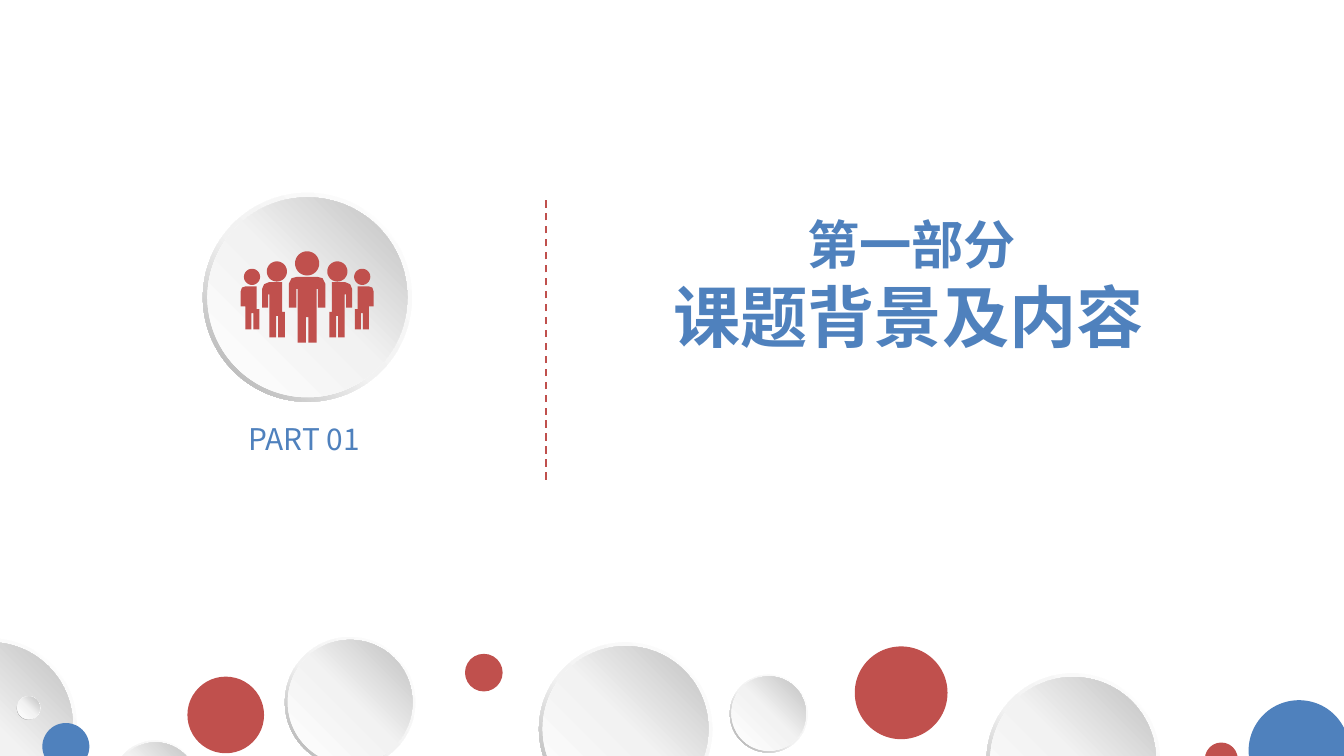
"""Build the opening page of part one, with a people badge and a row of discs."""
from dataclasses import dataclass
from math import cos, pi, sin

from lxml.etree import SubElement
from pptx import Presentation
from pptx.dml.color import RGBColor
from pptx.enum.dml import MSO_LINE
from pptx.enum.shapes import MSO_CONNECTOR, MSO_SHAPE
from pptx.enum.text import MSO_ANCHOR, MSO_AUTO_SIZE, PP_ALIGN
from pptx.oxml.ns import qn
from pptx.util import Pt

PX = 4572
FONT = "Noto Sans CJK SC"
COLOURS = {"blue": "4F81BD", "red": "C0504D", "white": "FFFFFF",
           "pale": "F2F2F2", "silver": "BFBFBF", "grey": "A6A6A6"}
RIM_STOPS = ((0, "white"), (55, "pale"), (100, "grey"))
FACE_STOPS = ((0, "white"), (51, "pale"), (100, "silver"))
AXIS = 457


@dataclass(frozen=True)
class Disc:
    left: int
    top: int
    size: int
    colour: str = ""


@dataclass(frozen=True)
class Head:
    x: int
    y: int
    radius: int


BADGE = Disc(302, 287, 311)
DISCS = (
    Disc(802, 956, 258), Disc(1272, 962, 138, "red"), Disc(424, 948, 194),
    Disc(1858, 1042, 150, "blue"), Disc(167, 1102, 129), Disc(692, 973, 56, "red"),
    Disc(1086, 1004, 116), Disc(1468, 1002, 258), Disc(1793, 1105, 49, "red"),
    Disc(-144, 950, 258), Disc(279, 1007, 114, "red"), Disc(63, 1076, 70, "blue"),
    Disc(25, 1036, 35),
)
CENTRE_HEAD = Head(457, 392, 18)
SIDE_HEADS = (Head(375, 412, 12), Head(412, 404, 15))
CENTRE_HALF = [(455, 472), (455, 510), (443, 510), (443, 430), (441, 430),
               (441, 458), (430, 458), (430, 422), (434, 414), (442, 412)]
SIDE_BODIES = (
    [(386, 460), (386, 490), (377, 490), (377, 466), (374, 466), (374, 490), (365, 490),
     (365, 456), (358, 456), (358, 434), (360, 428), (366, 426), (382, 426), (382, 460)],
    [(424, 464), (424, 502), (414, 502), (414, 470), (411, 470), (411, 502), (401, 502),
     (401, 438), (399, 438), (399, 458), (390, 458), (390, 430), (393, 423), (400, 420),
     (420, 420), (420, 464)],
)


def px(value: float) -> int:
    """Turn px into EMU."""
    return round(value * PX)


def rgb(name: str) -> RGBColor:
    """Look up a named colour."""
    return RGBColor.from_string(COLOURS[name])


def fill_gradient(shape, stops: tuple, angle: int) -> None:
    """Give a shape a linear gradient with any number of stops."""
    shape.fill.gradient()
    gradient = shape._element.spPr.find(qn("a:gradFill"))
    for child in list(gradient):
        gradient.remove(child)
    stop_list = SubElement(gradient, qn("a:gsLst"))
    for position, name in stops:
        stop = SubElement(stop_list, qn("a:gs"), pos=str(position * 1000))
        SubElement(stop, qn("a:srgbClr"), val=COLOURS[name])
    SubElement(gradient, qn("a:lin"), ang=str(angle * 60000), scaled="0")


def add_round(group, kind: MSO_SHAPE, disc: Disc, inset: float, stops: tuple, angle: int):
    """Add one round part of a disc, plain or shaded."""
    size = px(disc.size - 2 * inset)
    part = group.shapes.add_shape(kind, px(disc.left + inset), px(disc.top + inset), size, size)
    part.shadow.inherit = False
    part.line.fill.background()
    if disc.colour:
        part.fill.solid()
        part.fill.fore_color.rgb = rgb(disc.colour)
    else:
        fill_gradient(part, stops, angle)
    return part


def add_disc(page, disc: Disc):
    """Add a rim and a face as one group."""
    group = page.shapes.add_group_shape()
    rim = add_round(group, MSO_SHAPE.DONUT, disc, 0, RIM_STOPS, 135)
    rim.adjustments[0] = 0.049
    add_round(group, MSO_SHAPE.OVAL, disc, disc.size * 0.022, FACE_STOPS, 315)
    return group


def mirror(points: list) -> list:
    """Reflect an outline across the axis of the badge."""
    return [(2 * AXIS - x, y) for x, y in reversed(points)]


def head_outline(head: Head, steps: int = 40) -> list:
    """Trace a head as a many-sided outline."""
    turns = [2 * pi * step / steps for step in range(steps)]
    return [(head.x + head.radius * cos(turn), head.y + head.radius * sin(turn))
            for turn in turns]


def add_people(group) -> None:
    """Add the five people as one outline."""
    sides = [head_outline(head) for head in SIDE_HEADS] + list(SIDE_BODIES)
    outlines = [head_outline(CENTRE_HEAD), CENTRE_HALF + mirror(CENTRE_HALF)]
    outlines += sides + [mirror(side) for side in sides]
    scaled = [[(px(x), px(y)) for x, y in outline] for outline in outlines]
    builder = group.shapes.build_freeform(*scaled[0][0], scale=1.0)
    for outline in scaled:
        builder.move_to(*outline[0])
        builder.add_line_segments(outline[1:], close=True)
    people = builder.convert_to_shape()
    people.shadow.inherit = False
    people.fill.solid()
    people.fill.fore_color.rgb = rgb("red")
    people.line.fill.background()


def add_span(para, text: str, size: int, bold: bool) -> None:
    """Add one blue run of text."""
    span = para.add_run()
    span.text = text
    span.font.size = Pt(size)
    span.font.bold = bold
    span.font.color.rgb = rgb("blue")
    span.font.name = FONT
    SubElement(span._r.get_or_add_rPr(), qn("a:ea"), typeface=FONT)


def place_title(page) -> None:
    """Move and write the two-line title."""
    box = page.shapes.title
    box.left, box.top, box.width, box.height = px(978), px(306), px(748), px(236)
    frame = box.text_frame
    frame.word_wrap = False
    frame.auto_size = MSO_AUTO_SIZE.SHAPE_TO_FIT_TEXT
    frame.vertical_anchor = MSO_ANCHOR.TOP
    lines = (((" ", 14), ("第一部分", 28)), (("课题背景及内容", 36),))
    for index, line in enumerate(lines):
        para = frame.add_paragraph() if index else frame.paragraphs[0]
        para.alignment = PP_ALIGN.CENTER
        for text, size in line:
            add_span(para, text, size, True)


def add_part_label(page) -> None:
    """Add the part number below the badge."""
    box = page.shapes.add_textbox(px(370), px(626), px(198), px(54))
    frame = box.text_frame
    frame.word_wrap = True
    frame.auto_size = MSO_AUTO_SIZE.SHAPE_TO_FIT_TEXT
    frame.margin_left = frame.margin_top = frame.margin_right = frame.margin_bottom = 0
    add_span(frame.paragraphs[0], "PART 01", 16, False)


def add_divider(page) -> None:
    """Add the dashed upright line."""
    divider = page.shapes.add_connector(
        MSO_CONNECTOR.STRAIGHT, px(812), px(714), px(812), px(294))
    divider.line.color.rgb = rgb("red")
    divider.line.width = Pt(1)
    divider.line.dash_style = MSO_LINE.DASH
    SubElement(divider._element.spPr, qn("a:effectLst"))


def main() -> None:
    """Build and save the deck."""
    deck = Presentation()
    deck.slide_width, deck.slide_height = px(2000), px(1125)
    page = deck.slides.add_slide(deck.slide_layouts[5])
    place_title(page)
    add_divider(page)
    add_part_label(page)
    add_people(add_disc(page, BADGE))
    for disc in DISCS:
        add_disc(page, disc)
    deck.save("out.pptx")


if __name__ == "__main__":
    main()
